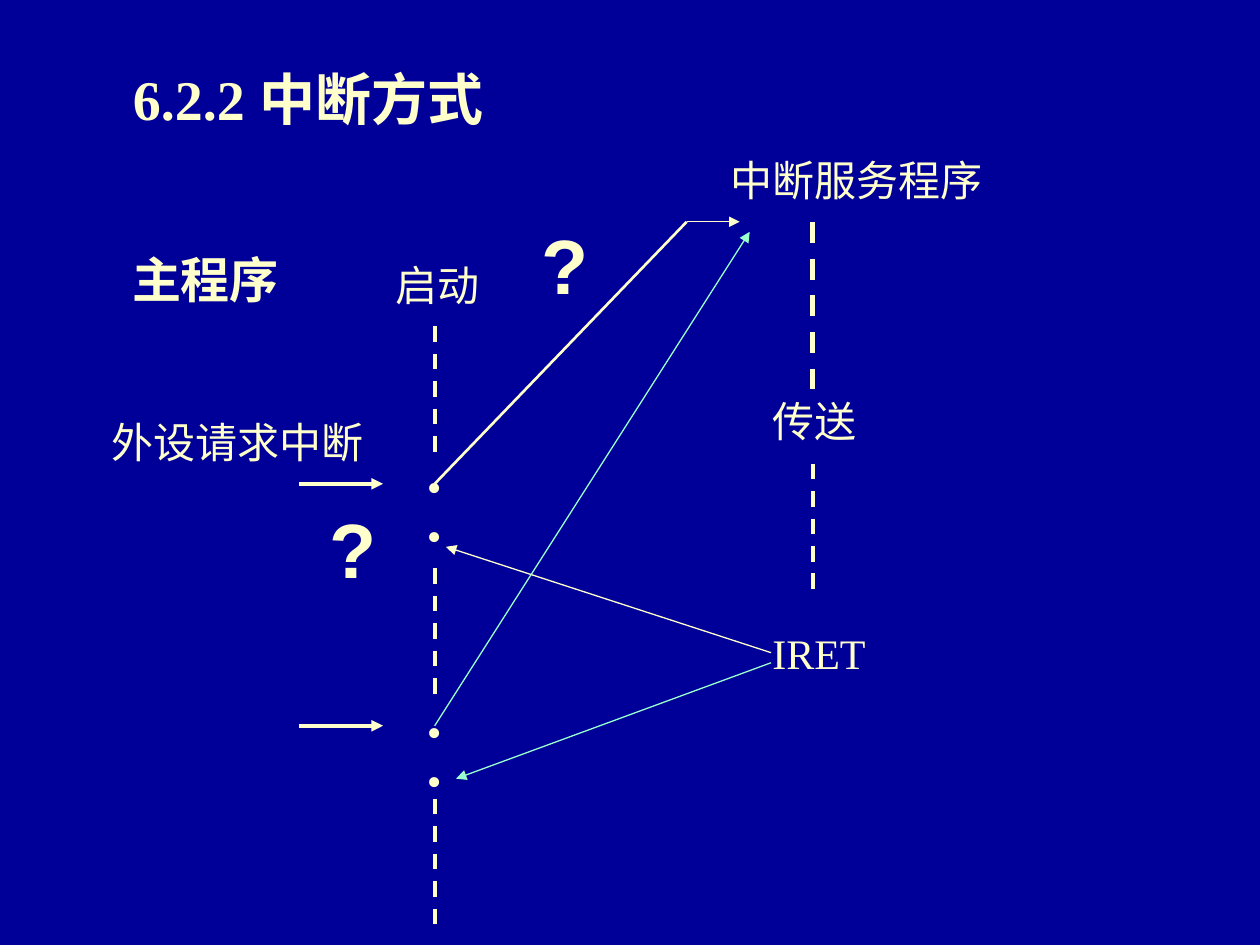
from dataclasses import dataclass

import pptx
import pptx.dml.color
import pptx.enum.dml
import pptx.enum.shapes
import pptx.enum.text
import pptx.oxml
import pptx.oxml.ns
import pptx.util

CREAM, MINT, NAVY = "FFFFCC", "99FFCC", "000099"
SERIF, SANS = "Times New Roman", "Arial"
COL = pptx.util.Inches(10) // 100
ROW = pptx.util.Inches(7.5) // 75
MAIN, SERVE = 34.5, 64.5
CALL, AGAIN = 38.4, 57.6
ALIGN = pptx.enum.text.PP_ALIGN


@dataclass(frozen=True)
class Label:
    """A text box placed in grid columns and rows."""
    words: str
    left: float
    top: float
    wide: float
    high: float = 5
    size: float = 24
    font: str = SERIF
    bold: bool = False
    align: ALIGN = ALIGN.LEFT
    indent: float = 0


@dataclass(frozen=True)
class Line:
    """A straight line between two grid points."""
    start: tuple[float, float]
    end: tuple[float, float]
    width: float = 0.75
    hue: str = CREAM
    dash: bool = False
    tip: bool = False


def paint(code: str) -> pptx.dml.color.RGBColor:
    """Turn a hex string into a colour."""
    return pptx.dml.color.RGBColor.from_string(code)


def write(para, words: str, *, size: float = 24, font: str = SERIF, bold: bool = False,
          hue: str = CREAM, align: ALIGN = ALIGN.LEFT, indent: float = 0,
          before: float = 0, pitch: float = 1) -> None:
    """Fill a paragraph with formatted text."""
    props = para._p.get_or_add_pPr()
    props.set("marL", str(int(indent * COL)))
    props.set("indent", "0")
    para.alignment = align
    para.space_before = pptx.util.Pt(before)
    para.line_spacing = pitch
    run = para.add_run()
    run.text = words
    run.font.size = pptx.util.Pt(size)
    run.font.name = font
    run.font.bold = bold
    run.font.color.rgb = paint(hue)


def label(slide, item: Label):
    """Draw a label and return its text frame."""
    box = slide.shapes.add_textbox(int(item.left * COL), int(item.top * ROW),
                                   int(item.wide * COL), int(item.high * ROW))
    frame = box.text_frame
    frame.word_wrap = True
    frame.vertical_anchor = pptx.enum.text.MSO_ANCHOR.TOP
    write(frame.paragraphs[0], item.words, size=item.size, font=item.font,
          bold=item.bold, align=item.align, indent=item.indent)
    return frame


def draw(slide, item: Line) -> None:
    """Draw a line with its dash and arrowhead."""
    (left, top), (right, low) = item.start, item.end
    link = slide.shapes.add_connector(
        pptx.enum.shapes.MSO_CONNECTOR.STRAIGHT,
        int(left * COL), int(top * ROW), int(right * COL), int(low * ROW))
    link.line.color.rgb = paint(item.hue)
    link.line.width = pptx.util.Pt(item.width)
    if item.dash:
        link.line.dash_style = pptx.enum.dml.MSO_LINE.DASH
    props = link._element.spPr
    if item.tip:
        head = pptx.oxml.parse_xml(f'<a:tailEnd {pptx.oxml.ns.nsdecls("a")} type="triangle"/>')
        link.line._get_or_add_ln().append(head)
    props.append(pptx.oxml.parse_xml(f'<a:effectLst {pptx.oxml.ns.nsdecls("a")}/>'))


def flow(slide) -> None:
    """Draw the main program's start and its four break points."""
    frame = label(slide, Label("启动", 30.4, 20.1, 12.5, 44.4))
    for before in (100, 15, 99, 15):
        write(frame.add_paragraph(), "•", indent=2.5, before=before, pitch=0.45)


LABELS = (
    Label("6.2.2 中断方式", 7.7, 4.6, 33.5, 6.4, 32, bold=True, align=ALIGN.CENTER),
    Label("主程序", 9.5, 19.3, 16.7, 5.7, 28, bold=True),
    Label("中断服务程序", 57, 11.8, 33.3),
    Label("传送", 57, 30.9, 20, indent=3.3),
    Label("IRET", 55.4, 49.3, 19.2, align=ALIGN.CENTER),
    Label("外设请求中断", 7.9, 32.6, 25),
    Label("?", 23.7, 39.3, 10, 8.4, 44, SANS, True, indent=1.5),
    Label("?", 42, 16.8, 5, 8.4, 44, SANS, True),
)

LINES = (
    *(Line((col, top), (col, top + 10), 2.25, dash=True)
      for col, top in ((MAIN, 25.9), (MAIN, 45.1), (MAIN, 63.4), (SERVE, 36.8))),
    Line((SERVE, 17.6), (SERVE, 30.9), 3, dash=True),
    *(Line((23.7, row), (30.4, row), 2.25, tip=True) for row in (CALL, AGAIN)),
    Line((MAIN, CALL), (54.5, 17.6), 1.5),
    Line((54.5, 17.6), (58.7, 17.6), tip=True),
    Line((61.2, 51.8), (35.4, 43.4), tip=True),
    Line((MAIN, AGAIN), (59.5, 18.4), hue=MINT, tip=True),
    Line((61.2, 52.6), (36.2, 61.8), hue=MINT, tip=True),
)


def main() -> None:
    """Build and save the slide."""
    deck = pptx.Presentation()
    deck.slide_width, deck.slide_height = 100 * COL, 75 * ROW
    slide = deck.slides.add_slide(deck.slide_layouts[6])
    slide.background.fill.solid()
    slide.background.fill.fore_color.rgb = paint(NAVY)
    for item in LABELS:
        label(slide, item)
    flow(slide)
    for item in LINES:
        draw(slide, item)
    deck.save("out.pptx")


if __name__ == "__main__":
    main()
